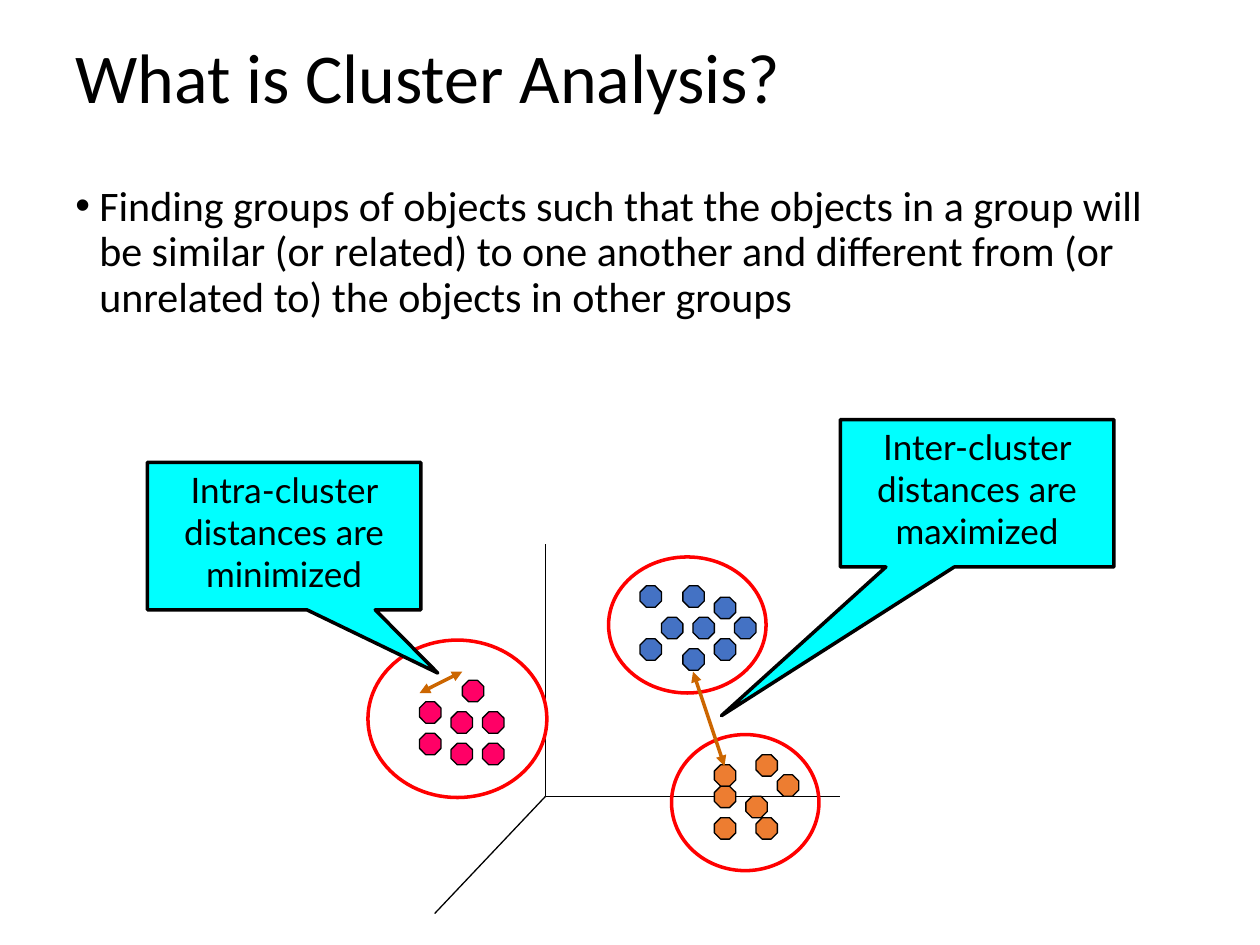
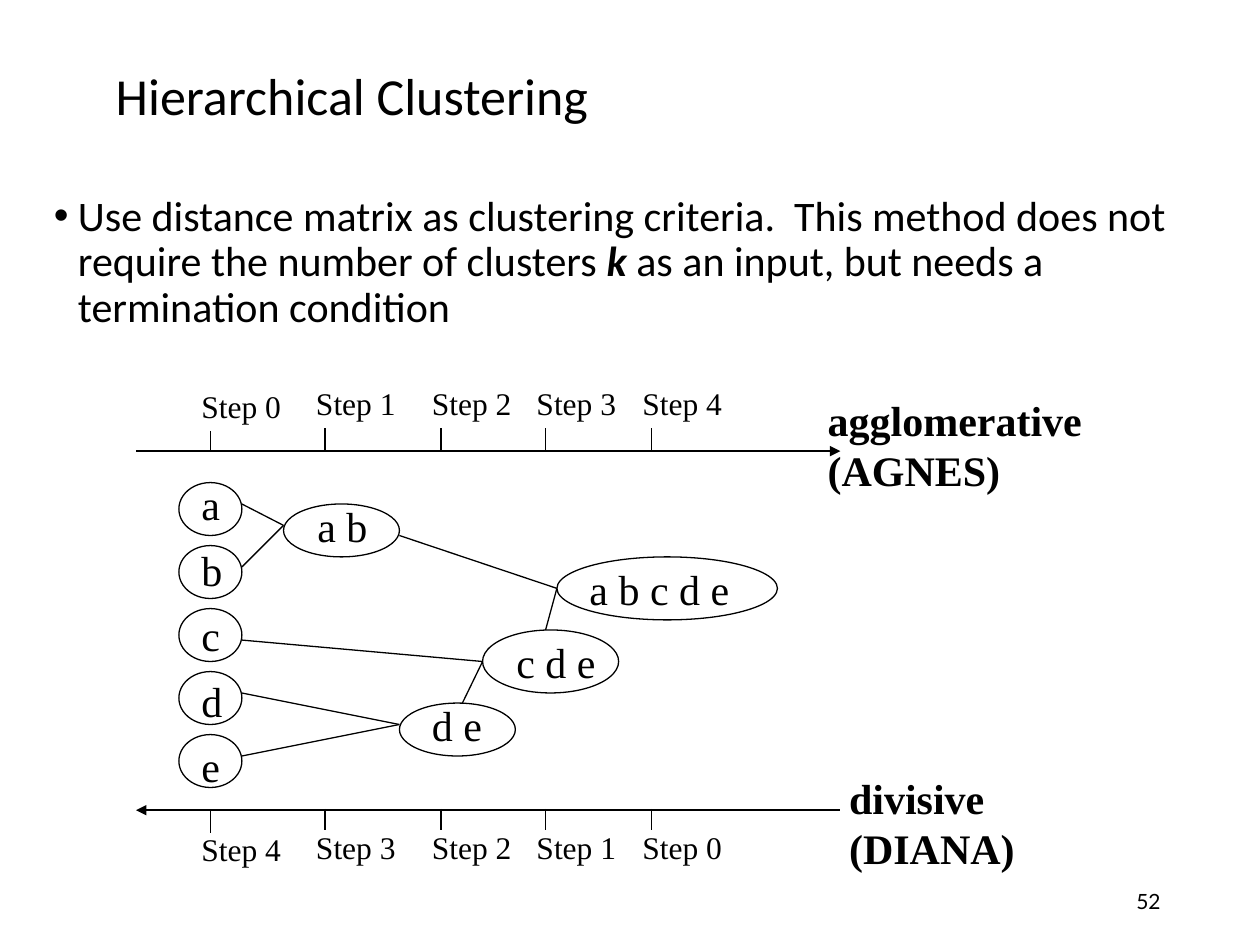
from pptx import Presentation
from pptx.dml.color import RGBColor
from pptx.enum.shapes import MSO_CONNECTOR, MSO_SHAPE
from pptx.enum.text import MSO_ANCHOR, PP_ALIGN
from pptx.oxml.ns import qn
from pptx.util import Inches, Pt
from lxml.etree import SubElement

BLACK = RGBColor(0x00, 0x00, 0x00)
BLUE = RGBColor(0x44, 0x72, 0xC4)
PINK = RGBColor(0xFF, 0x00, 0x66)
ORANGE = RGBColor(0xED, 0x7D, 0x31)
BROWN = RGBColor(0xCC, 0x66, 0x00)
CYAN = RGBColor(0x00, 0xFF, 0xFF)
RED = RGBColor(0xFF, 0x00, 0x00)

TITLE = {"name": "Calibri", "size": Pt(40)}
SMALL_TITLE = {"name": "Calibri", "size": Pt(29.7)}
BODY = {"name": "Calibri", "size": Pt(24)}
CALLOUT = {"name": "Lato", "size": Pt(20)}
STEP = {"name": "Times New Roman", "size": Pt(18)}
NODE = {"name": "Times New Roman", "size": Pt(24)}
METHOD = {"name": "Times New Roman", "size": Pt(24), "bold": True}
PAGE_NUMBER = {"name": "Lato", "size": Pt(12)}


def write(shape, lines, font_format, wrap=True, anchor=MSO_ANCHOR.TOP,
          align=PP_ALIGN.LEFT, spacing=1.0, bullet=False):
    """Fill a shape with lines of text; words between asterisks become bold italic."""
    frame = shape.text_frame
    frame.word_wrap = wrap
    frame.vertical_anchor = anchor
    for index, line in enumerate(lines):
        paragraph = frame.add_paragraph() if index else frame.paragraphs[0]
        paragraph.alignment = align
        paragraph.line_spacing = spacing
        if bullet:
            properties = paragraph._p.get_or_add_pPr()
            properties.set("marL", str(Inches(0.19)))
            properties.set("indent", str(-Inches(0.19)))
            SubElement(properties, qn("a:buFont")).set("typeface", "Arial")
            SubElement(properties, qn("a:buChar")).set("char", "•")
        for part, text in enumerate(line.split("*")):
            run = paragraph.add_run()
            run.text = text
            run.font.color.rgb = BLACK
            for attribute, value in font_format.items():
                setattr(run.font, attribute, value)
            if part % 2:
                run.font.bold = run.font.italic = True


def draw_line(slide, start, end, color=BLACK, width=0.75, arrows=()):
    """Draw a straight line; arrows holds "headEnd" (start) and/or "tailEnd" (end)."""
    line = slide.shapes.add_connector(
        MSO_CONNECTOR.STRAIGHT, *map(Inches, start + end))
    line.line.color.rgb = color
    line.line.width = Pt(width)
    for arrow in arrows:
        SubElement(line.line._get_or_add_ln(), qn(f"a:{arrow}")).set("type", "triangle")
    SubElement(line._element.spPr, qn("a:effectLst"))


presentation = Presentation()
presentation.slide_width = Inches(10)
presentation.slide_height = Inches(7.5)

# Titles and bullets of both slides
contents = [
    ("What is Cluster Analysis?", (0.5, 0.25, 9, 0.78), TITLE,
     "Finding groups of objects such that the objects in a group will be similar "
     "(or related) to one another and different from (or unrelated to) the objects "
     "in other groups", (0.5, 1.42, 9, 1.75)),
    ("Hierarchical Clustering", (0.82, 0.54, 7.98, 0.48), SMALL_TITLE,
     "Use distance matrix as clustering criteria.  This method does not require the "
     "number of clusters *k* as an input, but needs a termination condition",
     (0.33, 1.5, 9.08, 1.33)),
]
slides = []
for title, title_box, title_format, body, body_box in contents:
    slide = presentation.slides.add_slide(presentation.slide_layouts[6])
    write(slide.shapes.add_textbox(*map(Inches, title_box)), [title], title_format,
          anchor=MSO_ANCHOR.MIDDLE, spacing=0.9)
    write(slide.shapes.add_textbox(*map(Inches, body_box)), [body], BODY,
          spacing=0.9, bullet=True)
    slides.append(slide)
cluster_slide, hierarchy_slide = slides

# Cluster analysis: axes, points, cluster outlines, distances and callouts
origin = (4.33, 6.32)
for axis_end in [(4.33, 4.32), (6.67, 6.32), (3.45, 7.25)]:
    draw_line(cluster_slide, origin, axis_end)

clusters = [
    (BLUE, (4.83, 4.42, 1.25, 1.08),
     [(5.25, 4.9), (5.5, 4.9), (5.42, 4.65), (5.42, 5.15), (5.83, 4.9),
      (5.67, 4.74), (5.08, 4.65), (5.67, 5.07), (5.08, 5.07)]),
    (PINK, (2.92, 5.08, 1.42, 1.25),
     [(3.33, 5.57), (3.58, 5.65), (3.58, 5.9), (3.83, 5.65), (3.67, 5.4),
      (3.83, 5.9), (3.33, 5.82)]),
    (ORANGE, (5.33, 5.83, 1.17, 1.08),
     [(5.67, 6.07), (6.17, 6.15), (5.92, 6.32), (5.67, 6.49), (6, 6.49),
      (5.67, 6.24), (6, 5.99)]),
]
for color, outline_box, points in clusters:
    for left, top in points:
        point = cluster_slide.shapes.add_shape(
            MSO_SHAPE.OCTAGON, *map(Inches, (left, top, 0.17, 0.17)))
        point.shadow.inherit = False
        point.fill.solid()
        point.fill.fore_color.rgb = color
        point.line.color.rgb = BLACK
        point.line.width = Pt(0.75)
    outline = cluster_slide.shapes.add_shape(MSO_SHAPE.OVAL, *map(Inches, outline_box))
    outline.shadow.inherit = False
    outline.fill.background()
    outline.line.color.rgb = RED
    outline.line.width = Pt(2)

for start, end in [((5.75, 6.08), (5.5, 5.33)), ((3.33, 5.5), (3.67, 5.33))]:
    draw_line(cluster_slide, start, end, BROWN, 2, ("headEnd", "tailEnd"))

callouts = [
    ("Inter-cluster distances are maximized", (6.67, 3.33), (-0.935, 1.509)),
    ("Intra-cluster distances are minimized", (1.17, 3.67), (0.562, 0.929)),
]
for text, corner, tip in callouts:
    callout = cluster_slide.shapes.add_shape(
        MSO_SHAPE.RECTANGULAR_CALLOUT, *map(Inches, corner + (2.17, 1.17)))
    callout.adjustments[0], callout.adjustments[1] = tip
    callout.shadow.inherit = False
    callout.fill.solid()
    callout.fill.fore_color.rgb = CYAN
    callout.line.color.rgb = BLACK
    callout.line.width = Pt(2)
    write(callout, [text], CALLOUT, align=PP_ALIGN.CENTER)

# Hierarchical clustering: step scales above and below the tree
step_ticks = [1.67, 2.58, 3.5, 4.33, 5.17]
scales = [
    (3.58, "tailEnd", 3.4, 3, range(5)),
    (6.43, "headEnd", 6.42, 6.52, range(4, -1, -1)),
]
for scale_top, arrow, tick_top, label_top, steps in scales:
    draw_line(hierarchy_slide, (1.08, scale_top), (6.67, scale_top),
              width=1.5, arrows=[arrow])
    for tick, step in zip(step_ticks, steps):
        drop = 0.02 if tick == step_ticks[0] else 0
        draw_line(hierarchy_slide, (tick, tick_top + drop), (tick, tick_top + drop + 0.17))
        label = hierarchy_slide.shapes.add_textbox(
            *map(Inches, (tick - 0.17, label_top + drop, 0.83, 0.4)))
        write(label, [f"Step {step}"], STEP)

# Tree nodes: label, label box, ellipse
nodes = [(letter, (1.5, 3.75 + 0.52 * row, 0.36, 0.5), (1.42, 3.83 + 0.5 * row, 0.5, 0.42))
         for row, letter in enumerate("abcde")]
nodes += [
    ("a b", (2.42, 3.92, 0.6, 0.5), (2.25, 4, 0.92, 0.42)),
    ("d e", (3.33, 5.5, 0.6, 0.5), (3.17, 5.58, 0.92, 0.42)),
    ("c d e", (4, 5, 0.83, 0.5), (3.83, 5, 1.08, 0.5)),
    ("a b c d e", (4.58, 4.42, 1.31, 0.5), (4.42, 4.42, 1.75, 0.5)),
]
for members, label_box, ellipse_box in nodes:
    write(hierarchy_slide.shapes.add_textbox(*map(Inches, label_box)),
          [members], NODE, wrap=False)
    ellipse = hierarchy_slide.shapes.add_shape(MSO_SHAPE.OVAL, *map(Inches, ellipse_box))
    ellipse.shadow.inherit = False
    ellipse.fill.background()
    ellipse.line.color.rgb = BLACK
    ellipse.line.width = Pt(0.75)

# Each merge point with the branches that lead to it
merges = {
    (2.25, 4.17): [(1.92, 4), (1.92, 4.5)],
    (3.17, 5.75): [(1.92, 5.5), (1.92, 6)],
    (3.83, 5.25): [(1.92, 5.08), (3.67, 5.58)],
    (4.42, 4.67): [(3.17, 4.25), (4.33, 5)],
}
for merge, branches in merges.items():
    for branch in branches:
        draw_line(hierarchy_slide, branch, merge)

methods = [
    (["agglomerative", "(AGNES)"], (6.47, 3.08, 2.22, 0.9)),
    (["divisive", "(DIANA)"], (6.64, 6.08, 1.52, 0.9)),
]
for lines, method_box in methods:
    write(hierarchy_slide.shapes.add_textbox(*map(Inches, method_box)),
          lines, METHOD, wrap=False)

write(hierarchy_slide.shapes.add_textbox(*map(Inches, (7.06, 6.95, 2.25, 0.4))), ["52"],
      PAGE_NUMBER, anchor=MSO_ANCHOR.MIDDLE, align=PP_ALIGN.RIGHT)

presentation.save("out.pptx")
